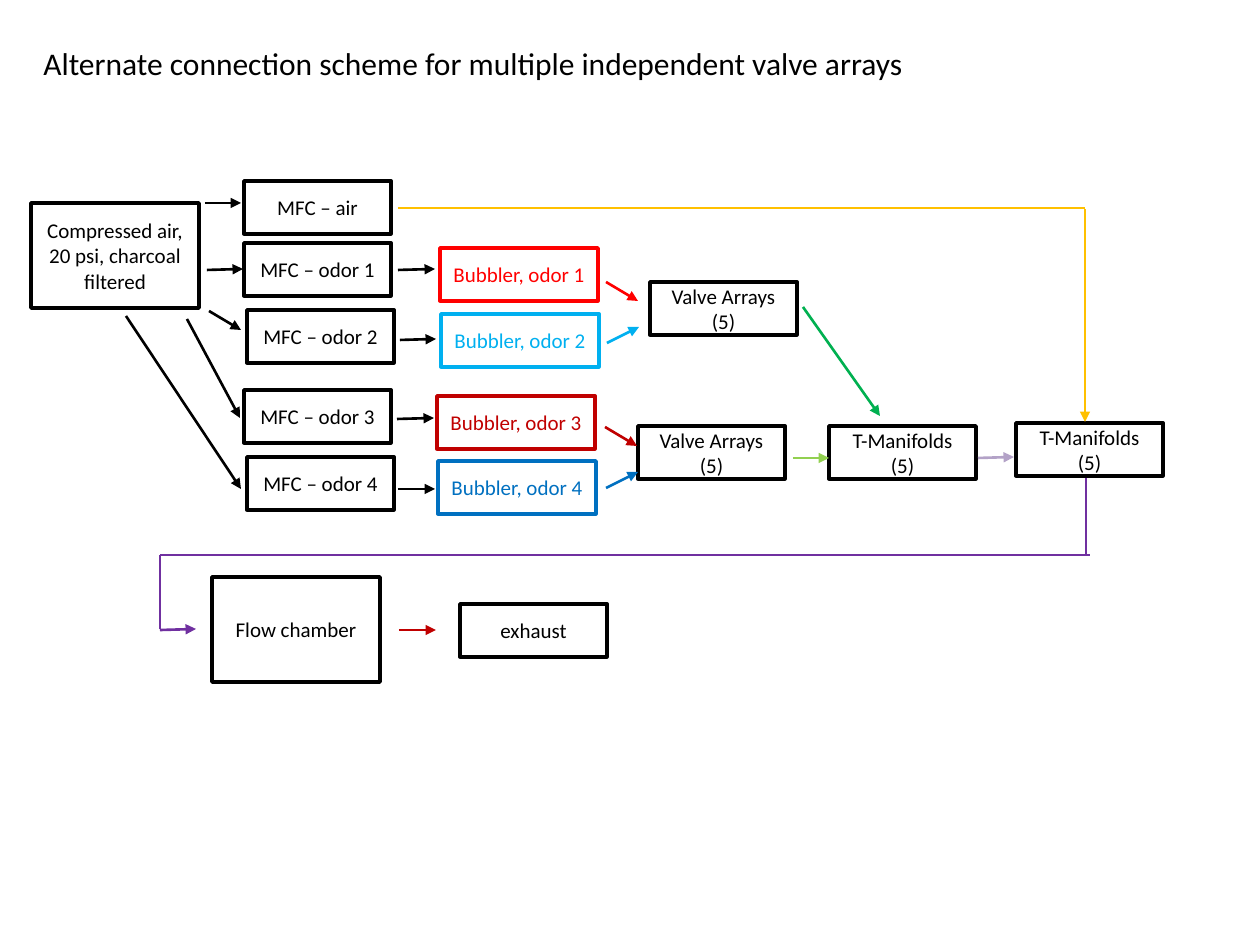
"""Build the slide showing a connection scheme for independent valve arrays."""
from dataclasses import dataclass

import lxml.etree
import pptx
import pptx.dml.color
import pptx.enum.shapes
import pptx.enum.text
import pptx.oxml.ns
import pptx.util


@dataclass(frozen=True)
class Theme:
    font: str = "Calibri"
    title_size: int = 18
    label_size: int = 12
    box_line: float = 2
    arrow_line: float = 1.5
    black: str = "000000"
    white: str = "FFFFFF"
    red: str = "FF0000"
    dark_red: str = "C00000"
    sky: str = "00B0F0"
    blue: str = "0070C0"
    green: str = "00B050"
    lime: str = "92D050"
    gold: str = "FFC000"
    purple: str = "7030A0"
    lilac: str = "B3A2C7"


theme = Theme()
PIXEL = pptx.util.Inches(1) / 126
rgb = pptx.dml.color.RGBColor.from_string
qn = pptx.oxml.ns.qn


def px(*lengths):
    return [round(length * PIXEL) for length in lengths]


def style_text(paragraph, size, color):
    paragraph.font.name = theme.font
    paragraph.font.size = pptx.util.Pt(size)
    paragraph.font.color.rgb = rgb(color)


presentation = pptx.Presentation()
presentation.slide_width, presentation.slide_height = px(1260, 945)
slide = presentation.slides.add_slide(presentation.slide_layouts[6])

title = slide.shapes.add_textbox(*px(31, 38, 896, 51))
title.text_frame.word_wrap = False
title.text_frame.auto_size = pptx.enum.text.MSO_AUTO_SIZE.SHAPE_TO_FIT_TEXT
title.text_frame.text = "Alternate connection scheme for multiple independent valve arrays"
style_text(title.text_frame.paragraphs[0], theme.title_size, theme.black)

LARGE, MEDIUM, SMALL = (168, 105), (158, 53), (147, 53)
boxes = [
    ("Compressed air, 20 psi, charcoal filtered", 31, 203, LARGE, theme.black),
    ("MFC – air", 244, 181, SMALL, theme.black),
    ("MFC – odor 1", 244, 243, SMALL, theme.black),
    ("MFC – odor 2", 247, 310, SMALL, theme.black),
    ("MFC – odor 3", 244, 390, SMALL, theme.black),
    ("MFC – odor 4", 247, 457, SMALL, theme.black),
    ("Bubbler, odor 1", 440, 248, MEDIUM, theme.red),
    ("Bubbler, odor 2", 441, 314, MEDIUM, theme.sky),
    ("Bubbler, odor 3", 437, 396, MEDIUM, theme.dark_red),
    ("Bubbler, odor 4", 438, 461, MEDIUM, theme.blue),
    ("Valve Arrays (5)", 650, 282, SMALL, theme.black),
    ("Valve Arrays (5)", 638, 426, SMALL, theme.black),
    ("T-Manifolds (5)", 829, 426, SMALL, theme.black),
    ("T-Manifolds (5)", 1016, 423, SMALL, theme.black),
    ("Flow chamber", 212, 577, LARGE, theme.black),
    ("exhaust", 460, 604, SMALL, theme.black),
]
for label, left, top, size, color in boxes:
    box = slide.shapes.add_shape(
        pptx.enum.shapes.MSO_SHAPE.RECTANGLE, *px(left, top, *size))
    box.shadow.inherit = False
    box.fill.solid()
    box.fill.fore_color.rgb = rgb(theme.white)
    box.line.color.rgb = rgb(color)
    box.line.width = pptx.util.Pt(theme.box_line)
    box.text_frame.word_wrap = True
    box.text_frame.vertical_anchor = pptx.enum.text.MSO_ANCHOR.MIDDLE
    box.text_frame.text = label
    paragraph = box.text_frame.paragraphs[0]
    paragraph.alignment = pptx.enum.text.PP_ALIGN.CENTER
    style_text(paragraph, theme.label_size, color)

arrows = [
    (205, 203, 241, 203, theme.black),
    (207, 270, 243, 269, theme.black),
    (209, 311, 241, 330, theme.black),
    (187, 319, 240, 418, theme.black),
    (126, 316, 241, 489, theme.black),
    (398, 270, 435, 269, theme.black),
    (400, 340, 436, 339, theme.black),
    (397, 419, 434, 418, theme.black),
    (398, 489, 435, 489, theme.black),
    (606, 282, 638, 301, theme.red),
    (607, 343, 639, 327, theme.sky),
    (605, 427, 637, 446, theme.dark_red),
    (606, 488, 638, 472, theme.blue),
    (803, 307, 880, 416, theme.green),
    (793, 458, 829, 458, theme.lime),
    (978, 458, 1014, 457, theme.lilac),
    (1085, 209, 1085, 422, theme.gold),
    (160, 630, 196, 629, theme.purple),
    (399, 630, 436, 630, theme.dark_red),
]
plain_lines = [
    (398, 208, 1085, 208, theme.gold),
    (1086, 478, 1086, 555, theme.purple),
    (1090, 555, 160, 555, theme.purple),
    (160, 555, 160, 629, theme.purple),
]
for index, (*ends, color) in enumerate(arrows + plain_lines):
    connector = slide.shapes.add_connector(
        pptx.enum.shapes.MSO_CONNECTOR.STRAIGHT, *px(*ends))
    connector.line.color.rgb = rgb(color)
    connector.line.width = pptx.util.Pt(theme.arrow_line)
    properties = connector.element.spPr
    if index < len(arrows):
        outline = properties.find(qn("a:ln"))
        lxml.etree.SubElement(outline, qn("a:tailEnd"), type="triangle")
    lxml.etree.SubElement(properties, qn("a:effectLst"))

presentation.save("out.pptx")
